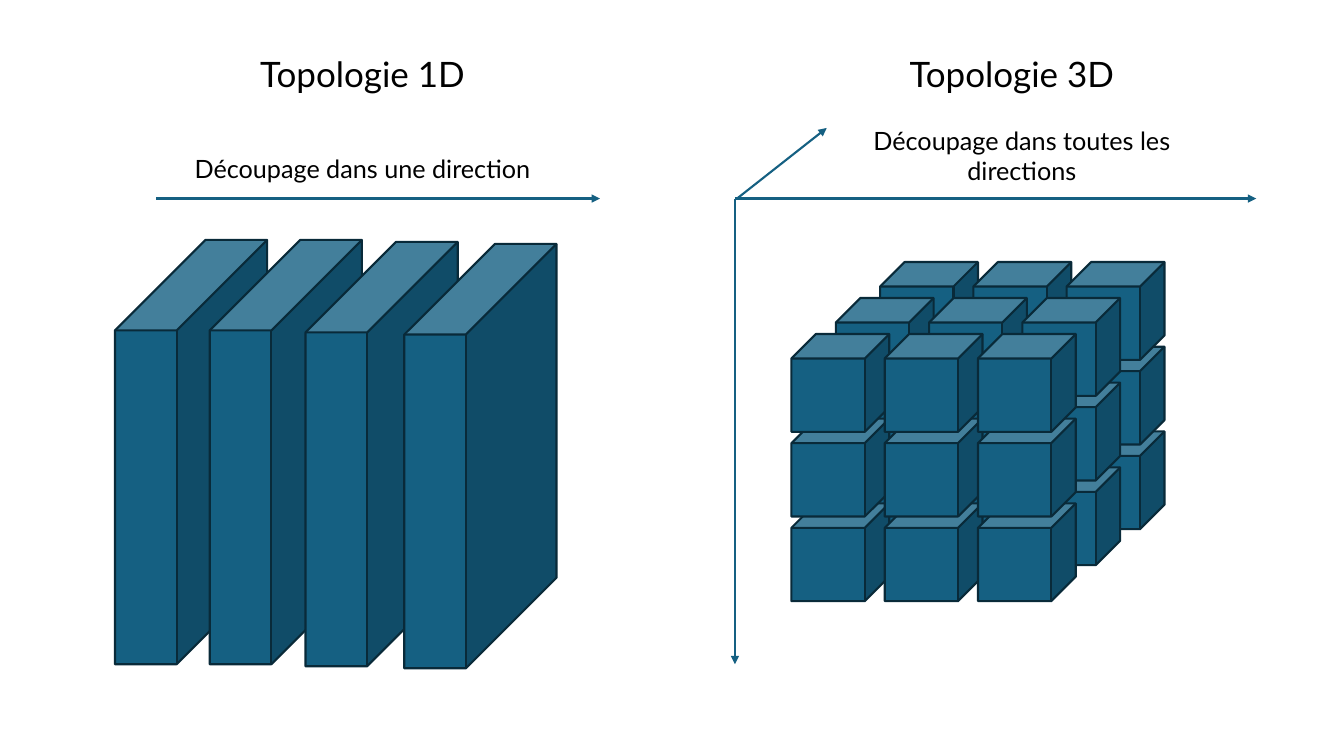
from itertools import product

from lxml import etree
from pptx import Presentation
from pptx.dml.color import RGBColor
from pptx.enum.shapes import MSO_CONNECTOR, MSO_SHAPE
from pptx.enum.text import MSO_AUTO_SIZE, PP_ALIGN
from pptx.oxml.ns import qn
from pptx.util import Inches, Pt

CUBE = MSO_SHAPE.CUBE
STRAIGHT = MSO_CONNECTOR.STRAIGHT
CENTER = PP_ALIGN.CENTER
GROW = MSO_AUTO_SIZE.SHAPE_TO_FIT_TEXT

BLUE = RGBColor(0x15, 0x60, 0x82)
EDGE = RGBColor(0x09, 0x2A, 0x39)
BLACK = RGBColor(0, 0, 0)
FONT = "Lato"
LINE_WIDTH = 1.5

# text, left, top, height, size
LABEL_WIDTH = 3.93
LABELS = [
    ("Topologie 1D", 1.63, 0.47, 0.52, 25),
    ("Découpage dans une direction", 1.63, 1.47, 0.40, 18),
    ("Topologie 3D", 8.07, 0.47, 0.52, 25),
    ("Découpage dans toutes les directions", 8.17, 1.19, 0.71, 18),
]

# start, end
AXIS_Y = 1.97
ARROWS = [
    ((1.55, AXIS_Y), (5.95, AXIS_Y)),
    ((7.29, AXIS_Y), (12.46, AXIS_Y)),
    ((7.29, AXIS_Y), (7.29, 6.59)),
    ((7.31, AXIS_Y), (8.20, 1.27)),
]

# left, top of each slab
SLABS = [(1.14, 2.38), (2.08, 2.38), (3.03, 2.40), (4.01, 2.42)]
SLAB_SIZE = (1.51, 4.21)
SLAB_DEPTH = 0.595

GRID = 3
CUBE_SIZE = (0.97, 0.97)
CUBE_DEPTH = 0.25
BACK_LEFT, BACK_TOP = 8.73, 2.6
COLUMN_STEP, ROW_STEP = 0.925, 0.84
LAYER_STEP = (-0.44, 0.357)


def add_block(s, left, top, size, depth):
    block = s.shapes.add_shape(CUBE, Inches(left), Inches(top), *map(Inches, size))
    block.adjustments[0] = depth
    block.shadow.inherit = False
    block.fill.solid()
    block.fill.fore_color.rgb = BLUE
    block.line.color.rgb = EDGE
    block.line.width = Pt(LINE_WIDTH)


def add_arrow(s, start, end):
    arrow = s.shapes.add_connector(STRAIGHT, *map(Inches, start + end))
    arrow.line.color.rgb = BLUE
    arrow.line.width = Pt(LINE_WIDTH)
    etree.SubElement(arrow.line._get_or_add_ln(), qn("a:tailEnd"), type="triangle")
    etree.SubElement(arrow._element.spPr, qn("a:effectLst"))


def add_label(s, text, left, top, height, size):
    box = s.shapes.add_textbox(*map(Inches, (left, top, LABEL_WIDTH, height)))
    tf = box.text_frame
    tf.word_wrap = True
    tf.auto_size = GROW
    p = tf.paragraphs[0]
    p.text = text
    p.alignment = CENTER
    p.font.name = FONT
    p.font.size = Pt(size)
    p.font.color.rgb = BLACK


def add_cube_grid(s):
    """Stack the cubes from the bottom row up, each row from back to front."""
    for row, layer, column in product(reversed(range(GRID)), range(GRID), range(GRID)):
        left = BACK_LEFT + column * COLUMN_STEP + layer * LAYER_STEP[0]
        top = BACK_TOP + row * ROW_STEP + layer * LAYER_STEP[1]
        add_block(s, left, top, CUBE_SIZE, CUBE_DEPTH)


def main():
    prs = Presentation()
    prs.slide_width, prs.slide_height = Inches(13.33), Inches(7.5)
    s = prs.slides.add_slide(prs.slide_layouts[6])
    for left, top in SLABS:
        add_block(s, left, top, SLAB_SIZE, SLAB_DEPTH)
    add_cube_grid(s)
    for start, end in ARROWS:
        add_arrow(s, start, end)
    for label in LABELS:
        add_label(s, *label)
    prs.save("out.pptx")


if __name__ == "__main__":
    main()
